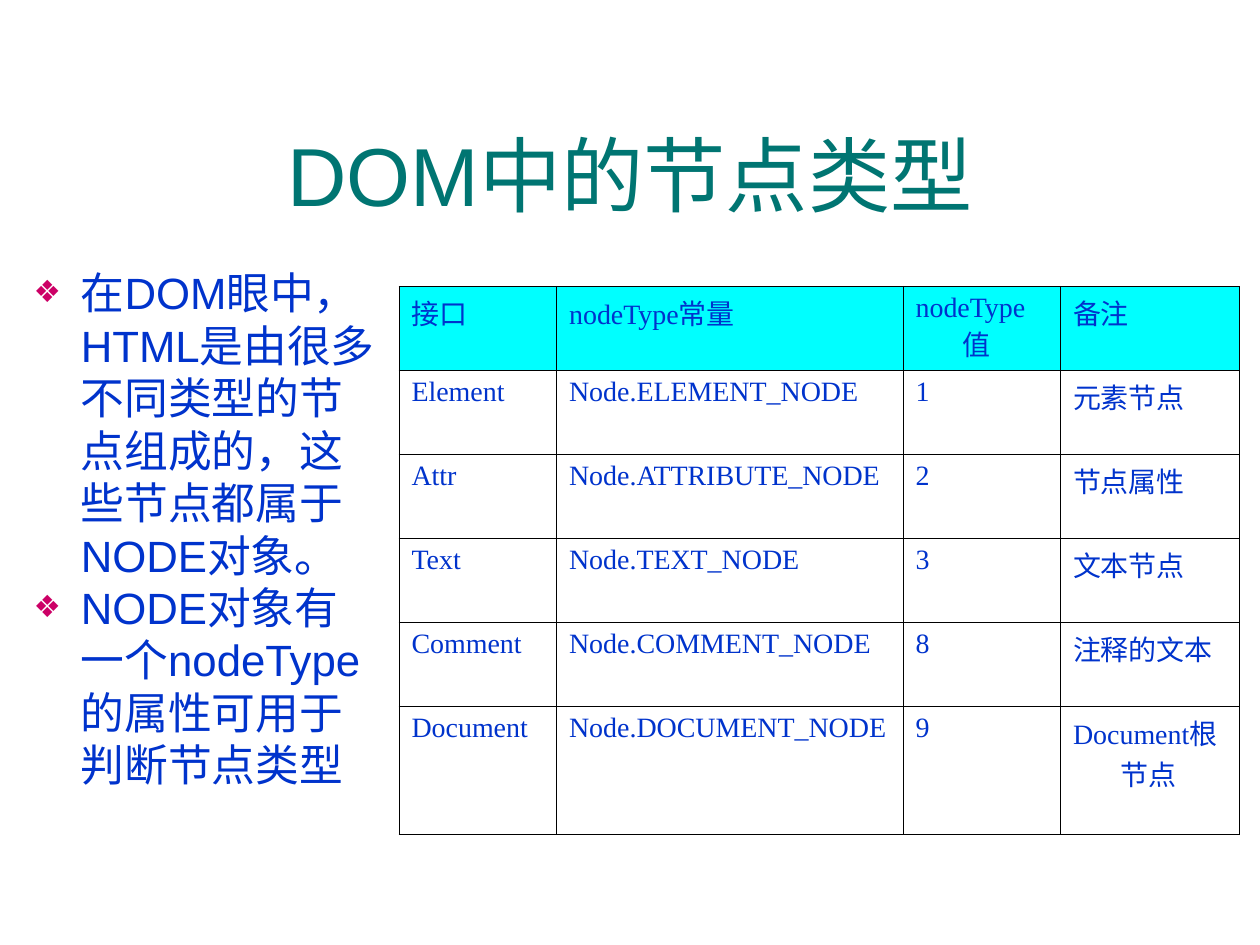
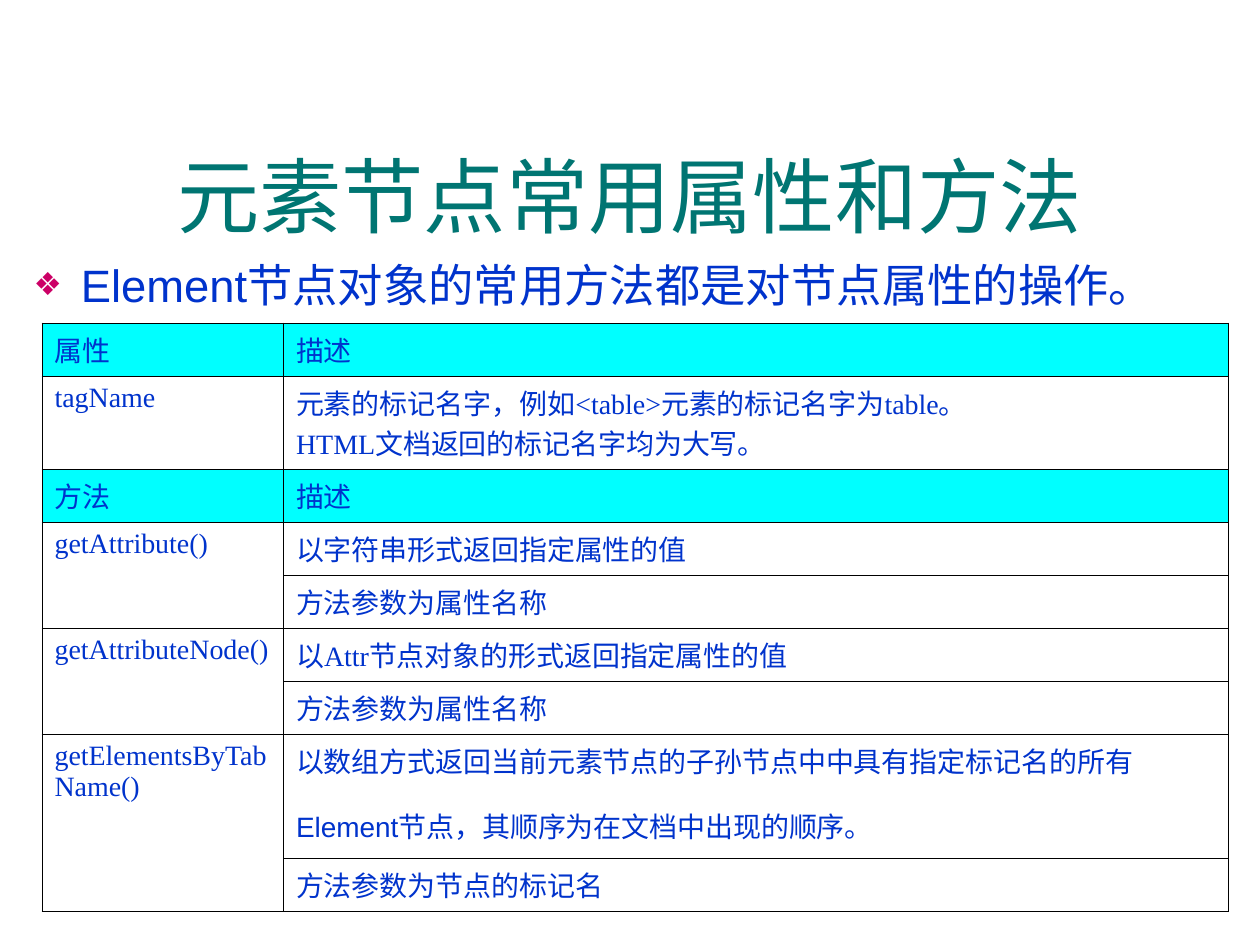
from dataclasses import dataclass
from lxml.etree import SubElement
from pptx import Presentation
from pptx.dml.color import RGBColor
from pptx.enum.text import MSO_ANCHOR, MSO_AUTO_SIZE, PP_ALIGN
from pptx.oxml.ns import qn
from pptx.util import Inches, Pt


@dataclass(frozen=True)
class Theme:
    title_color: str = "007572"
    text_color: str = "0033CC"
    bullet_color: str = "CC0066"
    header_fill: str = "00FFFF"
    border_color: str = "000000"
    heading_font: str = "Arial"
    table_font: str = "Times New Roman"
    title_size: float = 47
    table_size: float = 16
    tall_size: float = 28
    border_width: float = 0.45


theme = Theme()
unit = Inches(10) / 120
indent = round(4.5 * unit)


def write_text(frame, text, size, color=theme.text_color, font=theme.heading_font,
               align=PP_ALIGN.LEFT, hanging=False, bullet=None):
    for index, line in enumerate(text.split("\n")):
        paragraph = frame.paragraphs[0] if index == 0 else frame.add_paragraph()
        properties = paragraph._p.get_or_add_pPr()
        properties.set("hangingPunct", "0")
        if hanging:
            properties.set("marL", str(indent))
            properties.set("indent", str(-indent))
        if bullet:
            bullet_color = SubElement(properties, qn("a:buClr"))
            SubElement(bullet_color, qn("a:srgbClr"), val=theme.bullet_color)
            SubElement(properties, qn("a:buSzPct"), val="70000")
            SubElement(properties, qn("a:buChar"), char=bullet)
        paragraph.alignment = align
        paragraph.space_before = Pt(0)
        run = paragraph.add_run()
        run.text = line
        run.font.size = Pt(size)
        run.font.name = font
        run.font.color.rgb = RGBColor.from_string(color)


def place(shape, left, top, width, height):
    shape.left, shape.top = round(left * unit), round(top * unit)
    shape.width, shape.height = round(width * unit), round(height * unit)


pages = [
    dict(
        title="DOM中的节点类型",
        title_box=(4, 9, 112, 15),
        body="在DOM眼中，HTML是由很多不同类型的节点组成的，这些节点都属于NODE对象。\n"
             "NODE对象有一个nodeType的属性可用于判断节点类型",
        body_box=(2, 24.72, 35.28, 55.2),
        body_size=25,
        table_corner=(38, 27.25),
        columns=[15, 33, 15, 17],
        rows=[8, 8, 8, 8, 8, 12.2],
        header_rows=[0],
        hanging=True,
        cells=[
            ["接口", "nodeType常量", "nodeType值", "备注"],
            ["Element", "Node.ELEMENT_NODE", "1", "元素节点"],
            ["Attr", "Node.ATTRIBUTE_NODE", "2", "节点属性"],
            ["Text", "Node.TEXT_NODE", "3", "文本节点"],
            ["Comment", "Node.COMMENT_NODE", "8", "注释的文本"],
            ["Document", "Node.DOCUMENT_NODE", "9", "Document根节点"],
        ],
    ),
    dict(
        title="元素节点常用属性和方法",
        title_box=(4, 13.7, 112, 9.6),
        body="Element节点对象的常用方法都是对节点属性的操作。",
        body_box=(2, 23.9, 118, 7),
        body_size=25.9,
        table_corner=(4, 30.75),
        columns=[23, 90],
        rows=[5, 8.9, 5, 5, 5, 5, 5, 11.7, 5],
        header_rows=[0, 2],
        hanging=False,
        cells=[
            ["属性", "描述"],
            ["tagName", "元素的标记名字，例如<table>元素的标记名字为table。\n"
                        "HTML文档返回的标记名字均为大写。"],
            ["方法", "描述"],
            ["getAttribute()", "以字符串形式返回指定属性的值"],
            [None, "方法参数为属性名称"],
            ["getAttributeNode()", "以Attr节点对象的形式返回指定属性的值"],
            [None, "方法参数为属性名称"],
            ["getElementsByTabName()", "以数组方式返回当前元素节点的子孙节点中中具有指定标记名的"
                                       "所有Element节点，其顺序为在文档中出现的顺序。"],
            [None, "方法参数为节点的标记名"],
        ],
    ),
]
tall_text = pages[1]["cells"][7][1]

presentation = Presentation()
presentation.slide_width = Inches(10)
presentation.slide_height = Inches(7.5)

for page in pages:
    slide = presentation.slides.add_slide(presentation.slide_layouts[1])
    title, body = slide.placeholders
    place(title, *page["title_box"])
    place(body, *page["body_box"])
    for shape in (title, body):
        shape.text_frame.word_wrap = True
        shape.text_frame.auto_size = MSO_AUTO_SIZE.NONE
    title.text_frame.vertical_anchor = MSO_ANCHOR.MIDDLE
    write_text(title.text_frame, page["title"], theme.title_size,
               color=theme.title_color, align=PP_ALIGN.CENTER)
    write_text(body.text_frame, page["body"], page["body_size"], hanging=True, bullet="❖")

    columns, rows = page["columns"], page["rows"]
    table_shape = slide.shapes.add_table(len(rows), len(columns), 0, 0, Inches(1), Inches(1))
    place(table_shape, *page["table_corner"], sum(columns), sum(rows))
    table = table_shape.table
    table.first_row = table.horz_banding = False
    for column, width in zip(table.columns, columns):
        column.width = round(width * unit)
    for row, height in zip(table.rows, rows):
        row.height = round(height * unit)

    for row_index, texts in enumerate(page["cells"]):
        for column_index, text in enumerate(texts):
            cell = table.cell(row_index, column_index)
            cell_properties = cell._tc.get_or_add_tcPr()
            for side in ("lnL", "lnR", "lnT", "lnB"):
                border = SubElement(cell_properties, qn(f"a:{side}"),
                                    w=str(Pt(theme.border_width)))
                border_fill = SubElement(border, qn("a:solidFill"))
                SubElement(border_fill, qn("a:srgbClr"), val=theme.border_color)
            if row_index in page["header_rows"]:
                cell.fill.solid()
                cell.fill.fore_color.rgb = RGBColor.from_string(theme.header_fill)
            else:
                cell.fill.background()
            if text is None:
                table.cell(row_index - 1, column_index).merge(cell)
                continue
            is_tall = text == tall_text
            write_text(cell.text_frame, text, theme.table_size, hanging=page["hanging"],
                       font=theme.heading_font if is_tall else theme.table_font)
            if is_tall:
                spacer = cell.text_frame.paragraphs[0].add_run()
                spacer.text = " "
                spacer.font.size = Pt(theme.tall_size)
                spacer.font.name = theme.heading_font

presentation.save("out.pptx")
